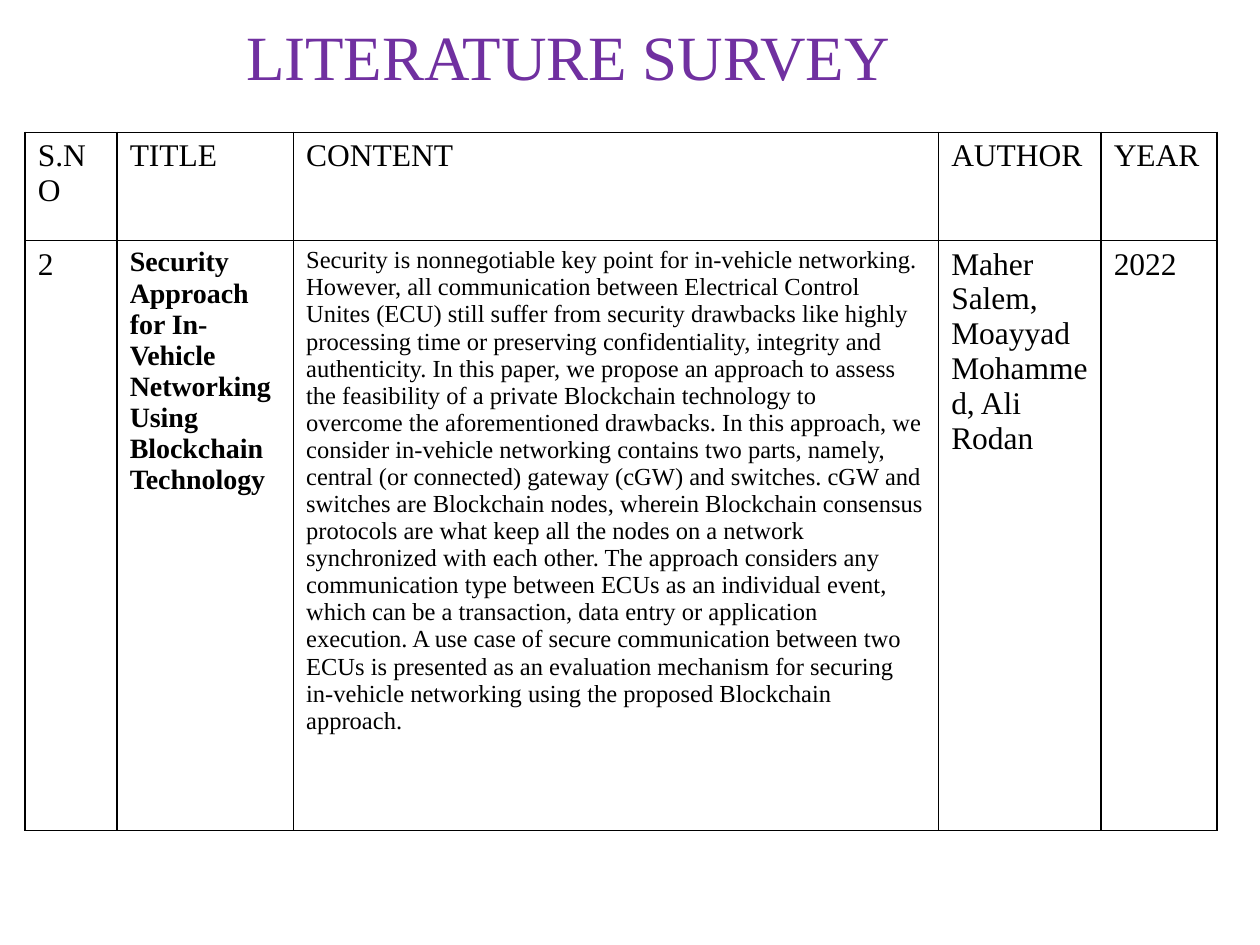
from dataclasses import dataclass

from lxml import etree
from pptx import Presentation
from pptx import util as u
from pptx.dml.color import RGBColor
from pptx.enum import text
from pptx.oxml.ns import qn


@dataclass(frozen=True)
class Theme:
    font: str = "Times New Roman"
    ink: str = "000000"
    accent: str = "7030A0"
    paper: str = "FFFFFF"
    head: int = 36
    body: int = 18
    paper_name: int = 16
    content: int = 14
    rule: float = 1


T = Theme()
W, H = 10, 7.5
TITLE = "LITERATURE SURVEY"
TITLE_BOX = (0.2, 0.1, 8.62, 0.75)
LEFT, TOP = 0.2, 1.05
COLS = [0.73, 1.4, 5.12, 1.29, 0.92]
ROWS = [0.86, 4.68]

# Each cell: size, bold, paragraphs
HEADS = [(T.body, False, [name])
         for name in ("S.NO", "TITLE", "CONTENT", "AUTHOR", "YEAR")]
STUDY = [
    (T.body, False, ["2"]),
    (T.paper_name, True, [
        "Security Approach for In-Vehicle Networking Using",
        "Blockchain Technology",
    ]),
    (T.content, False, [
        "Security is nonnegotiable key point for in-vehicle networking.",
        "However, all communication between Electrical Control Unites (ECU) "
        "still suffer from security drawbacks like highly processing time or "
        "preserving confidentiality, integrity and authenticity. In this "
        "paper, we propose an approach to assess the feasibility of a private "
        "Blockchain technology to",
        "overcome the aforementioned drawbacks. In this approach, we consider "
        "in-vehicle networking contains two parts, namely, central (or "
        "connected) gateway (cGW) and switches. cGW and switches are "
        "Blockchain nodes, wherein Blockchain consensus protocols are what "
        "keep all the nodes on a network synchronized with each other. The "
        "approach considers any communication type between ECUs as an "
        "individual event, which can be a transaction, data entry or "
        "application execution. A use case of secure communication between "
        "two ECUs is presented as an evaluation mechanism for securing "
        "in-vehicle networking using the proposed Blockchain approach.",
    ]),
    (T.body, False, ["Maher Salem, Moayyad Mohammed, Ali Rodan"]),
    (T.body, False, ["2022"]),
]


def write(frame, lines, size, color, bold=False):
    for i, line in enumerate(lines):
        para = frame.paragraphs[0] if i == 0 else frame.add_paragraph()
        run = para.add_run()
        run.text = line
        font = run.font
        font.name, font.size, font.bold = T.font, u.Pt(size), bold
        font.color.rgb = RGBColor.from_string(color)


def border(cell):
    """Rule all four sides; lines must come before the cell's fill."""
    props = cell._tc.get_or_add_tcPr()
    for i, side in enumerate(("lnL", "lnR", "lnT", "lnB")):
        line = etree.Element(qn(f"a:{side}"), w=str(u.Pt(T.rule)))
        fill = etree.SubElement(line, qn("a:solidFill"))
        etree.SubElement(fill, qn("a:srgbClr"), val=T.ink)
        props.insert(i, line)


def add_title(slide):
    title = slide.shapes.title
    title.left, title.top, title.width, title.height = map(u.Inches, TITLE_BOX)
    frame = title.text_frame
    frame.word_wrap = True
    frame.vertical_anchor = text.MSO_ANCHOR.MIDDLE
    write(frame, [TITLE], T.head, T.accent)
    frame.paragraphs[0].alignment = text.PP_ALIGN.CENTER
    frame.paragraphs[0].line_spacing = 0.9


def add_survey(slide):
    box = map(u.Inches, (LEFT, TOP, sum(COLS), sum(ROWS)))
    table = slide.shapes.add_table(len(ROWS), len(COLS), *box).table
    table.first_row = table.horz_banding = False
    for col, width in zip(table.columns, COLS):
        col.width = u.Inches(width)
    for row, height, cells in zip(table.rows, ROWS, (HEADS, STUDY)):
        row.height = u.Inches(height)
        for cell, (size, bold, lines) in zip(row.cells, cells):
            cell.fill.solid()
            cell.fill.fore_color.rgb = RGBColor.from_string(T.paper)
            border(cell)
            write(cell.text_frame, lines, size, T.ink, bold)


def main():
    deck = Presentation()
    deck.slide_width, deck.slide_height = u.Inches(W), u.Inches(H)
    slide = deck.slides.add_slide(deck.slide_layouts.get_by_name("Title Only"))
    add_title(slide)
    add_survey(slide)
    deck.save("out.pptx")


if __name__ == "__main__":
    main()
